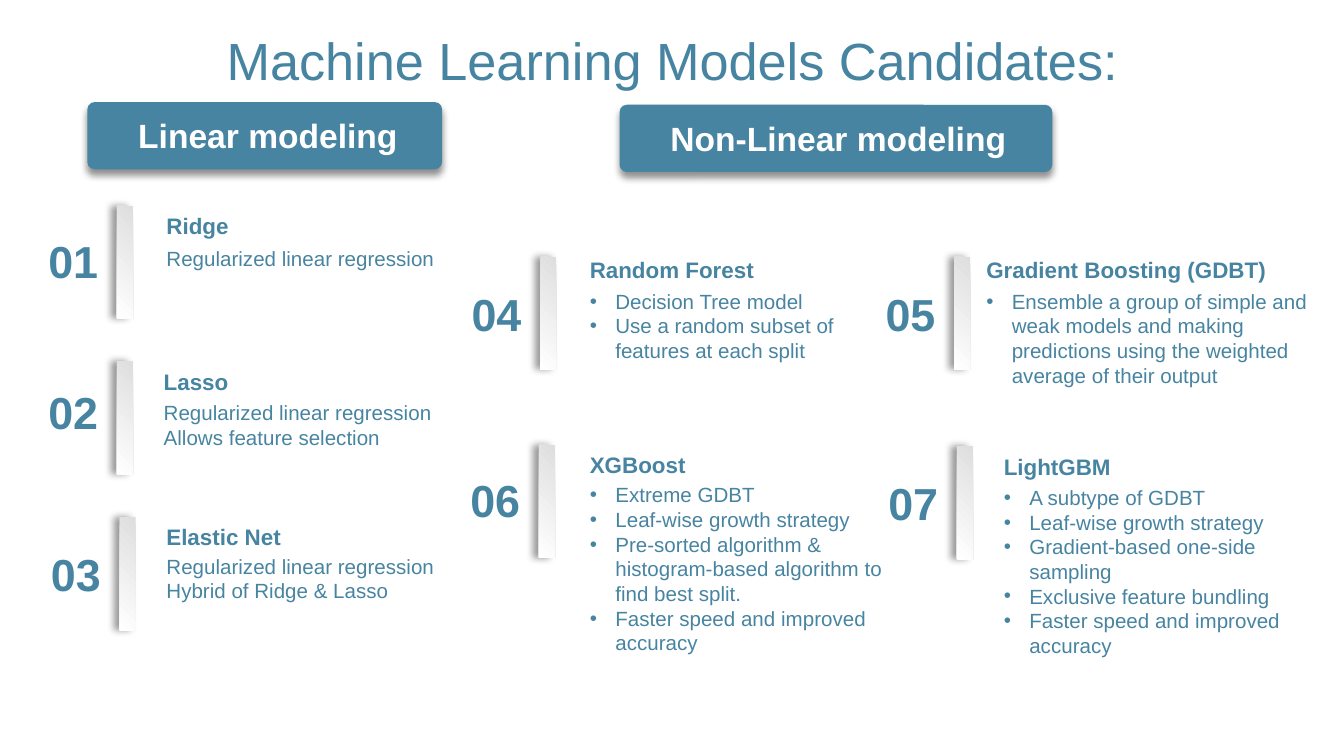
"""Build a slide that lists candidate machine learning models."""
from dataclasses import dataclass

from lxml.etree import SubElement
from pptx import Presentation
from pptx.dml.color import RGBColor
from pptx.enum.shapes import MSO_SHAPE as Shape
from pptx.enum.text import MSO_ANCHOR as Anchor, PP_ALIGN as Align
from pptx.oxml.ns import qn
from pptx.slide import Slide
from pptx.util import Inches, Pt


def color(value):
    return RGBColor.from_string(value)


def write(frame, lines, *, size, ink, font, bold=False, align=Align.LEFT,
          anchor=Anchor.TOP, bullet=False, wrap=True):
    frame.word_wrap = wrap
    frame.vertical_anchor = anchor
    for index, line in enumerate(lines):
        paragraph = frame.paragraphs[0] if index == 0 else frame.add_paragraph()
        paragraph.alignment = align
        run = paragraph.add_run()
        run.text = line
        run.font.name, run.font.size, run.font.bold = font, Pt(size), bold
        run.font.color.rgb = color(ink)
        if bullet:
            props = paragraph._p.get_or_add_pPr()
            props.set("marL", str(Inches(0.19)))
            props.set("indent", str(Inches(-0.19)))
            SubElement(props, qn("a:buFont"), typeface="Arial")
            SubElement(props, qn("a:buChar"), char="•")


@dataclass
class ModelSlide:
    slide: Slide
    font: str = "Arial"
    accent: str = "4784A1"
    light: str = "FFFFFF"
    bar_top: str = "DEDEDE"

    def title(self, text):
        title = self.slide.shapes.title
        title.left, title.top = Inches(0), Inches(0.13)
        title.width, title.height = Inches(10), Inches(0.63)
        write(title.text_frame, [text], size=28, ink=self.accent,
              font=self.font, align=Align.CENTER, anchor=Anchor.MIDDLE)

    def text(self, lines, left, top, width, height, **style):
        box = self.slide.shapes.add_textbox(
            Inches(left), Inches(top), Inches(width), Inches(height))
        write(box.text_frame, lines,
              **{"ink": self.accent, "font": self.font, **style})

    def panel(self, kind, left, top, width, height, opacity, direction):
        panel = self.slide.shapes.add_shape(
            kind, Inches(left), Inches(top), Inches(width), Inches(height))
        panel.line.fill.background()
        panel.shadow.inherit = False
        effects = panel._element.spPr.find(qn("a:effectLst"))
        shadow = SubElement(
            effects, qn("a:outerShdw"), blurRad=str(Pt(4)), dist=str(Pt(3)),
            dir=str(direction * 60000), algn="ctr", rotWithShape="0")
        tint = SubElement(shadow, qn("a:srgbClr"), val="000000")
        SubElement(tint, qn("a:alpha"), val=str(opacity * 1000))
        return panel

    def banner(self, text, left, top, width):
        banner = self.panel(Shape.ROUNDED_RECTANGLE, left, top, width, 0.5, 43, 90)
        banner.adjustments[0] = 0.11
        banner.fill.solid()
        banner.fill.fore_color.rgb = color(self.accent)
        self.text([text], left + 0.28, top + 0.05, width - 0.49, 0.4,
                  size=18, ink=self.light, bold=True, wrap=False)

    def bar(self, left, top):
        bar = self.panel(Shape.RECTANGLE, left, top, 0.12, 0.84, 40, 180)
        bar.fill.gradient()
        bar.fill.gradient_angle = 225
        for stop, shade in zip(bar.fill.gradient_stops, (self.bar_top, self.light)):
            stop.color.rgb = color(shade)

    def model(self, number, bar, number_top, heading, place, size, lines, bullet):
        self.bar(*bar)
        self.text([f"{number:02}"], bar[0] - 0.66, number_top, 0.67, 0.5, size=24,
                  bold=True, align=Align.CENTER, anchor=Anchor.MIDDLE)
        left, heading_top, body_top = place
        width, height = size
        self.text([heading], left, heading_top, width, 0.3, size=12, bold=True)
        self.text(lines, left, body_top, width, height, size=11, bullet=bullet)


LINEAR = [
    ((0.87, 1.53), 1.69, "Ridge", (1.14, 1.53, 1.78), (2.2, 0.29),
     ["Regularized linear regression"]),
    ((0.87, 2.69), 2.81, "Lasso", (1.12, 2.69, 2.93), (2.2, 0.67),
     ["Regularized linear regression", "Allows feature selection"]),
    ((0.89, 3.85), 4.02, "Elastic Net", (1.14, 3.84, 4.07), (2.44, 0.67),
     ["Regularized linear regression", "Hybrid of Ridge & Lasso"]),
]
NON_LINEAR = [
    ((4.02, 1.91), 2.08, "Random Forest", (4.29, 1.86, 2.1), (2.6, 0.66),
     ["Decision Tree model", "Use a random subset of features at each split"]),
    ((7.1, 1.91), 2.08, "Gradient Boosting (GDBT)", (7.24, 1.86, 2.1), (2.67, 1.04),
     ["Ensemble a group of simple and weak models and making predictions "
      "using the weighted average of their output"]),
    ((4.01, 3.31), 3.47, "XGBoost", (4.29, 3.31, 3.54), (2.41, 2.05),
     ["Extreme GDBT", "Leaf-wise growth strategy",
      "Pre-sorted algorithm & histogram-based algorithm to find best split.",
      "Faster speed and improved accuracy"]),
    ((7.12, 3.32), 3.49, "LightGBM", (7.37, 3.32, 3.56), (2.41, 1.43),
     ["A subtype of GDBT", "Leaf-wise growth strategy",
      "Gradient-based one-side sampling", "Exclusive feature bundling",
      "Faster speed and improved accuracy"]),
]


def main():
    deck = Presentation()
    deck.slide_width = Inches(10)
    deck.slide_height = deck.slide_width * 9 // 16
    page = ModelSlide(deck.slides.add_slide(deck.slide_layouts[5]))
    page.title("Machine Learning Models Candidates:")
    page.banner("Linear modeling", 0.65, 0.76, 2.64)
    page.banner("Non-Linear modeling", 4.61, 0.78, 3.22)
    for number, entry in enumerate(LINEAR + NON_LINEAR, start=1):
        page.model(number, *entry, bullet=number > len(LINEAR))
    deck.save("out.pptx")


if __name__ == "__main__":
    main()
